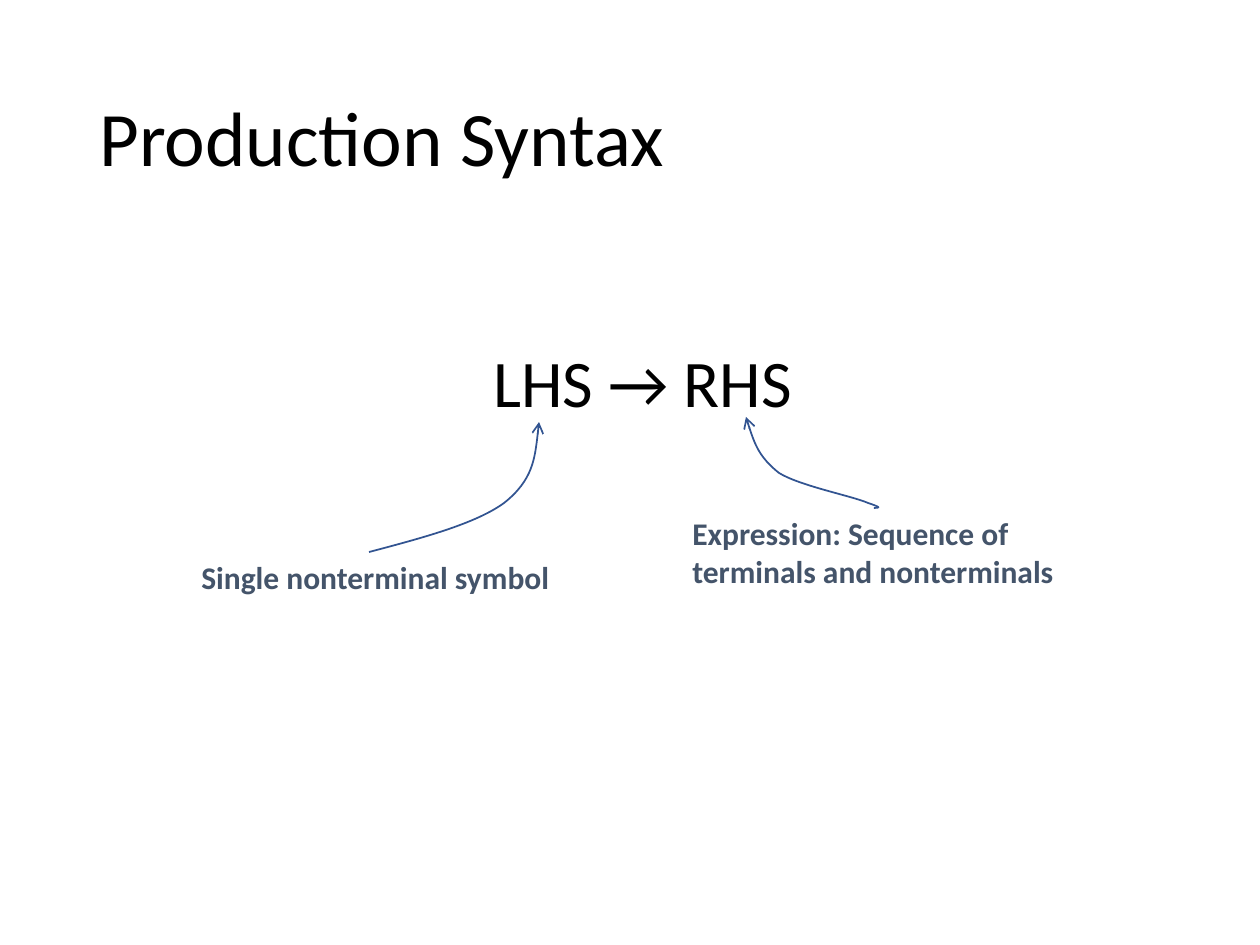
from dataclasses import dataclass

from lxml import etree
from pptx import Presentation
from pptx.dml.color import RGBColor
from pptx.enum.text import MSO_ANCHOR, MSO_AUTO_SIZE, PP_ALIGN
from pptx.oxml.ns import qn
from pptx.util import Emu, Pt

MIDDLE = MSO_ANCHOR.MIDDLE
GROW = MSO_AUTO_SIZE.SHAPE_TO_FIT_TEXT
NO_FIT = MSO_AUTO_SIZE.NONE
LEFT = PP_ALIGN.LEFT
TITLE_ONLY = 5
EMU_PER_PX = 914400 / 126


@dataclass(frozen=True)
class Theme:
    font: str = "Calibri"
    ink: str = "000000"
    label: str = "44546A"
    arrow: str = "325491"
    title_size: int = 44
    rule_size: int = 38
    label_size: int = 18
    line_width: int = 1


def px(length):
    return Emu(round(length * EMU_PER_PX))


class SlideBuilder:
    def __init__(self, page, theme):
        self.page = page
        self.theme = theme

    def fill_text(self, frame, text, size, color, bold=False):
        frame.text = text
        for para in frame.paragraphs:
            para.alignment = LEFT
            for span in para.runs:
                span.font.name = self.theme.font
                span.font.size = Pt(size)
                span.font.bold = bold
                span.font.color.rgb = RGBColor.from_string(color)

    def title(self, text, left, top, width, height):
        box = self.page.shapes.title
        box.left, box.top, box.width, box.height = map(px, (left, top, width, height))
        frame = box.text_frame
        self.fill_text(frame, text, self.theme.title_size, self.theme.ink)
        frame.auto_size = NO_FIT
        frame.vertical_anchor = MIDDLE
        frame.paragraphs[0].line_spacing = 0.9

    def text(self, text, left, top, width, height, size, color, bold=False):
        box = self.page.shapes.add_textbox(*map(px, (left, top, width, height)))
        frame = box.text_frame
        self.fill_text(frame, text, size, color, bold)
        frame.word_wrap = False
        frame.auto_size = GROW

    def label(self, text, left, top, width, height):
        self.text(text, left, top, width, height,
                  self.theme.label_size, self.theme.label, bold=True)

    def curved_arrow(self, start, *points):
        """Draw Bézier segments, each given by two control points and an end."""
        builder = self.page.shapes.build_freeform(*start, scale=EMU_PER_PX)
        builder.add_line_segments(points, close=False)
        curve = builder.convert_to_shape()
        curve.shadow.inherit = False
        curve.fill.background()
        curve.line.color.rgb = RGBColor.from_string(self.theme.arrow)
        curve.line.width = Pt(self.theme.line_width)

        lines = list(curve.element.iter(qn("a:lnTo")))
        outline = lines[0].getparent()
        for first in range(0, len(lines), 3):
            bezier = etree.SubElement(outline, qn("a:cubicBezTo"))
            for line in lines[first:first + 3]:
                bezier.append(line[0])
                outline.remove(line)

        stroke = curve.element.spPr.find(qn("a:ln"))
        etree.SubElement(stroke, qn("a:tailEnd"), type="arrow")


def main():
    deck = Presentation()
    deck.slide_width, deck.slide_height = px(1260), px(945)
    theme = Theme()
    page = deck.slides.add_slide(deck.slide_layouts[TITLE_ONLY])
    slide = SlideBuilder(page, theme)

    slide.title("Production Syntax", 87, 50, 1086, 183)
    slide.label("Expression: Sequence of\nterminals and nonterminals", 680, 508, 389, 89)
    slide.text("LHS → RHS", 481, 335, 326, 93, theme.rule_size, theme.ink)
    slide.curved_arrow((874, 508),
                       (879, 508), (883, 508), (868, 503),
                       (852, 496), (800, 486), (779, 473),
                       (759, 457), (752, 437), (746, 417))
    slide.label("Single nonterminal symbol", 189, 552, 375, 50)
    slide.curved_arrow((369, 552),
                       (422, 538), (475, 524), (504, 503),
                       (533, 480), (536, 451), (539, 422))
    deck.save("out.pptx")


if __name__ == "__main__":
    main()
